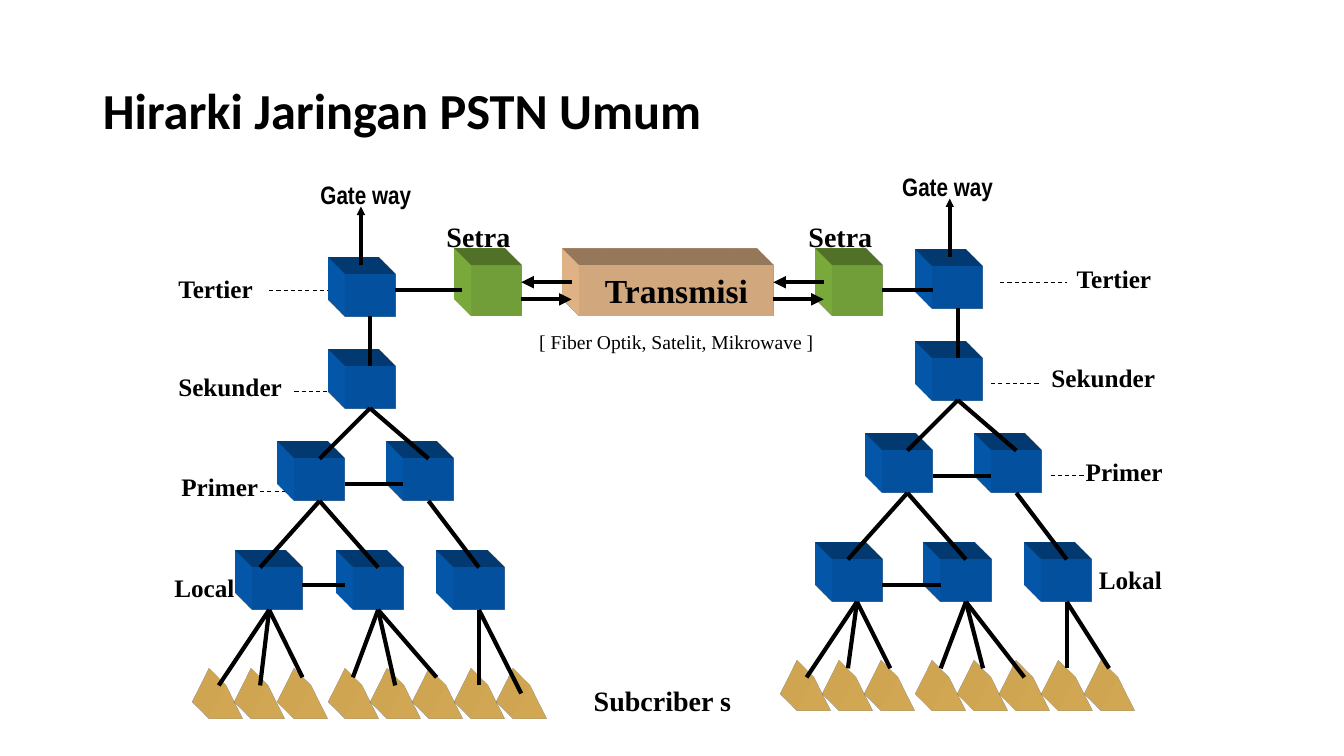
from dataclasses import dataclass

from pptx import Presentation
from pptx.dml.color import RGBColor
from pptx.enum.dml import MSO_LINE_DASH_STYLE as Dash
from pptx.enum.shapes import MSO_CONNECTOR as Connector, MSO_SHAPE as Shape
from pptx.enum.text import MSO_ANCHOR as Anchor, MSO_AUTO_SIZE as AutoSize, PP_ALIGN as Align
from pptx.oxml import parse_xml
from pptx.oxml.ns import nsdecls
from pptx.util import Inches, Pt


@dataclass(frozen=True)
class Theme:
    ink: str = "000000"
    exchange: str = "0563C1"
    central: str = "8BC145"
    transmission: str = "FFCC99"
    subscriber: str = "FFCC66"
    heading_font: str = "Calibri"
    label_font: str = "Times New Roman"
    gateway_font: str = "Arial Narrow"
    heading_size: int = 36
    transmission_size: int = 24
    caption_size: int = 20
    label_size: int = 18
    note_size: int = 14
    link_width: float = 3
    leader_width: float = 0.75


def write(frame, text, size, font, color, bold=True, align=Align.LEFT):
    paragraph = frame.paragraphs[0]
    paragraph.alignment = align
    run = paragraph.add_run()
    run.text = text
    run.font.size, run.font.name, run.font.bold = Pt(size), font, bold
    run.font.color.rgb = RGBColor.from_string(color)
    return paragraph


def extrude(shape, color):
    """Give the shape depth towards the upper left."""
    properties = shape.element.spPr
    properties.append(parse_xml(
        f'<a:scene3d {nsdecls("a")}><a:camera prst="legacyObliqueTopLeft"/>'
        '<a:lightRig rig="legacyFlat3" dir="b"/></a:scene3d>'))
    properties.append(parse_xml(
        f'<a:sp3d {nsdecls("a")} extrusionH="430200" prstMaterial="legacyMatte">'
        '<a:bevelT w="13500" h="13500" prst="angle"/>'
        '<a:bevelB w="13500" h="13500" prst="angle"/>'
        f'<a:extrusionClr><a:srgbClr val="{color}"/></a:extrusionClr></a:sp3d>'))


class NetworkSlide:
    def __init__(self, slide, theme):
        self.slide, self.theme = slide, theme
        self.sites = []

    def title(self, text):
        heading, theme = self.slide.shapes.title, self.theme
        heading.left, heading.top = Inches(0.92), Inches(0.4)
        heading.width, heading.height = Inches(11.5), Inches(1.45)
        heading.text_frame.vertical_anchor = Anchor.MIDDLE
        paragraph = write(heading.text_frame, text, theme.heading_size,
                          theme.heading_font, theme.ink)
        paragraph.line_spacing = 0.9

    def solid(self, kind, left, top, width, height, color):
        shape = self.slide.shapes.add_shape(
            kind, Inches(left), Inches(top), Inches(width), Inches(height))
        shape.fill.solid()
        shape.fill.fore_color.rgb = RGBColor.from_string(color)
        shape.line.fill.background()
        shape.shadow.inherit = False
        extrude(shape, color)
        return shape

    def block(self, left, top, width, height, color):
        block = self.solid(Shape.RECTANGLE, left, top, width, height, color)
        middle, centre = left + width / 2, top + height / 2
        sides = [(middle, top), (left, centre), (middle, top + height), (left + width, centre)]
        self.sites += [(point, block, site) for site, point in enumerate(sides)]
        return block

    def site_at(self, x, y):
        """Find the block and side whose middle lies at the point."""
        for (site_x, site_y), block, site in self.sites:
            if abs(site_x - x) < 0.02 and abs(site_y - y) < 0.02:
                return block, site
        return None

    def line(self, start, end, arrow=None, leader=False):
        """Draw a line; arrow is the size of its head, "sm" or "med"."""
        link = self.slide.shapes.add_connector(
            Connector.STRAIGHT, *(Inches(value) for value in (*start, *end)))
        link.line.color.rgb = RGBColor.from_string(self.theme.ink)
        link.line.width = Pt(self.theme.leader_width if leader else self.theme.link_width)
        if leader:
            link.line.dash_style = Dash.DASH
        if arrow:
            link.line._get_or_add_ln().append(parse_xml(
                f'<a:tailEnd {nsdecls("a")} type="triangle" w="{arrow}" len="{arrow}"/>'))
        link.element.spPr.append(parse_xml(f'<a:effectLst {nsdecls("a")}/>'))
        for point, connect in ((start, link.begin_connect), (end, link.end_connect)):
            joint = self.site_at(*point)
            if joint:
                connect(*joint)

    def label(self, text, left, top, width, height=0.4, size=None, font=None, wrap=False,
              **style):
        box = self.slide.shapes.add_textbox(
            Inches(left), Inches(top), Inches(width), Inches(height))
        box.text_frame.word_wrap = wrap
        box.text_frame.auto_size = AutoSize.SHAPE_TO_FIT_TEXT
        write(box.text_frame, text, size or self.theme.label_size,
              font or self.theme.label_font, self.theme.ink, **style)

    def tower(self, dx, dy, local_lefts, local_link):
        """Draw one exchange hierarchy, from its top exchange down to its subscribers."""
        def at(x, y):
            return x + dx, y + dy

        exchanges = [(3.42, 2.72), (3.42, 3.63), (4, 4.55), (2.92, 4.55)]
        exchanges += [(left, 5.63) for left in local_lefts]
        for exchange in exchanges:
            self.block(*at(*exchange), 0.5, 0.42, self.theme.exchange)

        pitch = 0.417
        homes = [2.08 + pitch * i for i in range(3)] + [3.42 + pitch * i for i in range(5)]
        for home in homes:
            self.solid(Shape.ISOSCELES_TRIANGLE, *at(home, 6.8), 0.33, 0.33,
                       self.theme.subscriber)

        trunks = [
            ((3.67, 3.14), (3.67, 3.63)),
            ((3.67, 4.05), (3.17, 4.55)), ((3.67, 4.05), (4.25, 4.55)),
            ((3.17, 4.97), (2.58, 5.63)), ((3.17, 4.97), (3.75, 5.63)),
            ((4.25, 4.97), (4.75, 5.63)), ((3.42, 4.8), (4, 4.8)),
        ]
        for start, end in trunks:
            self.line(at(*start), at(*end))
        self.line(*local_link)

    def subscriber_lines(self, dx, dy, drops):
        origins = [2.67] * 3 + [3.75] * 3 + [4.75] * 2
        ends = [2.17, 2.58, 3, 3.5, 3.92, 4.33, 4.75, 5.17]
        for origin, end, drop in zip(origins, ends, drops):
            self.line((origin + dx, 6.05 + dy), (end + dx, drop))

    def gateway(self, x, top, label_left):
        self.line((x, top + 0.9), (x, top + 0.32), arrow="sm")
        self.label("Gate way", label_left, top, 1.1, font=self.theme.gateway_font)


def main():
    deck = Presentation()
    deck.slide_width, deck.slide_height = Inches(13.33), Inches(7.5)
    theme = Theme()
    page = NetworkSlide(deck.slides.add_slide(deck.slide_layouts[5]), theme)
    page.title("Hirarki Jaringan PSTN Umum")

    for left in (4.67, 8.25):
        page.block(left, 2.63, 0.5, 0.5, theme.central)
    west, east = (0, 0), (5.83, -0.08)
    page.tower(*west, (4.5, 3.5, 2.5), ((3, 5.8), (3.42, 5.8)))
    page.subscriber_lines(*west, (6.8, 6.8, 6.72, 6.72, 6.8, 6.72, 6.8, 6.88))
    page.tower(*east, (4.5, 3.5, 2.42), ((8.75, 5.8), (9.33, 5.8)))
    page.subscriber_lines(*east, (6.72, 6.63, 6.63, 6.63, 6.63, 6.72, 6.63, 6.63))

    page.line((3.92, 2.88), (4.58, 2.88))
    page.line((8.75, 2.88), (9.25, 2.88))
    for start, end, y in ((2.67, 3.25, 2.88), (2.92, 3.25, 3.88), (2.58, 2.83, 4.88),
                          (9.92, 10.58, 2.8), (9.83, 10.33, 3.8), (10.42, 10.75, 4.72)):
        page.line((start, y), (end, y), leader=True)
    for level, left, top, width in (
            ("Tertier", 1.67, 2.66, 0.97), ("Sekunder", 1.67, 3.63, 1.23),
            ("Primer", 1.7, 4.63, 0.97), ("Local", 1.63, 5.63, 0.85),
            ("Tertier", 10.58, 2.56, 0.97), ("Sekunder", 10.33, 3.55, 1.23),
            ("Primer", 10.67, 4.48, 0.97), ("Lokal", 10.8, 5.55, 0.85)):
        page.label(level, left, top, width)
    for left in (4.33, 7.92):
        page.label("Setra", left, 2.13, 0.95, 0.43, theme.caption_size)
    page.label("Subcriber s", 5.79, 6.73, 1.6, 0.43, theme.caption_size)
    page.gateway(3.58, 1.73, 3.08)
    page.gateway(9.42, 1.65, 8.85)

    page.label("[ Fiber Optik, Satelit, Mikrowave ]", 5.17, 3.22, 3.08, 0.33,
               theme.note_size, wrap=True, bold=False, align=Align.CENTER)
    transmission = page.block(5.75, 2.63, 1.92, 0.5, theme.transmission)
    transmission.text_frame.word_wrap = False
    transmission.text_frame.vertical_anchor = Anchor.MIDDLE
    write(transmission.text_frame, "Transmisi", theme.transmission_size, theme.label_font,
          theme.ink, align=Align.CENTER)
    for near in (5.17, 7.67):
        page.line((near, 2.97), (near + 0.5, 2.97), arrow="med")
        page.line((near + 0.5, 2.8), (near, 2.8), arrow="med")

    deck.save("out.pptx")


if __name__ == "__main__":
    main()
